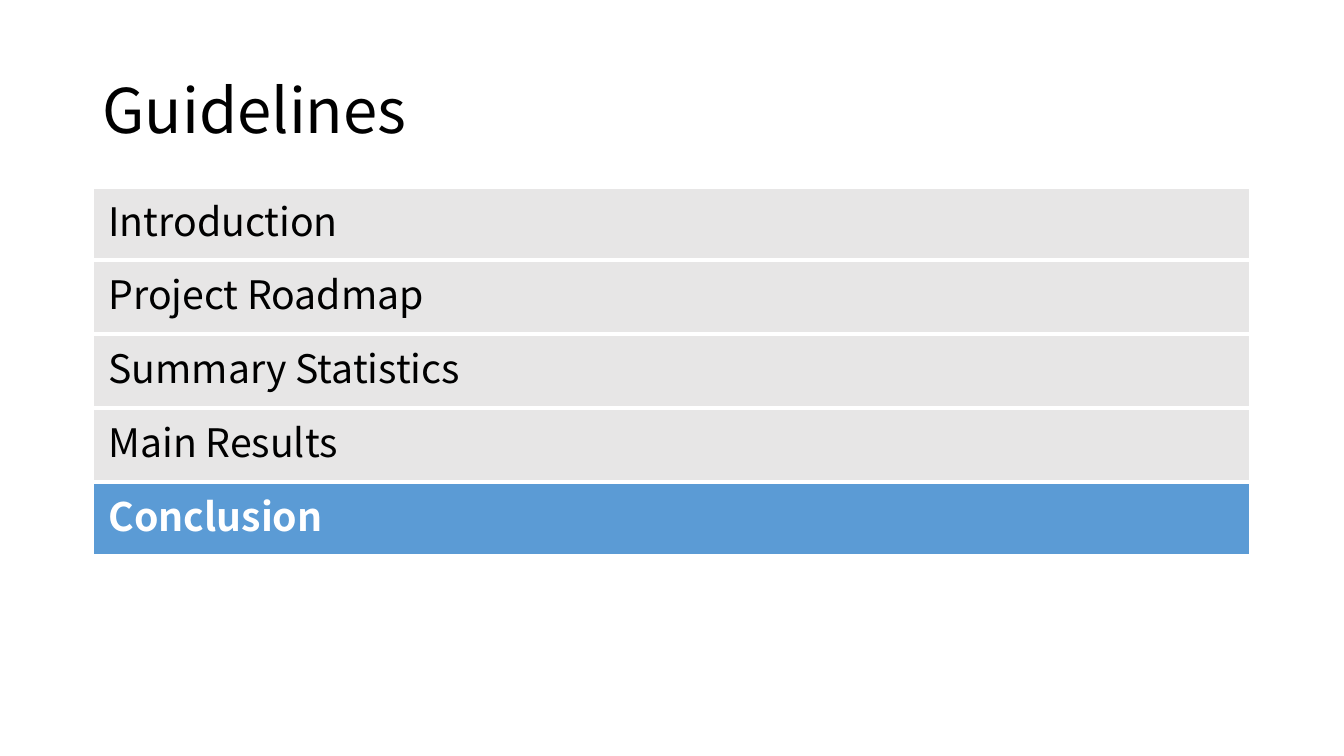
from pptx import Presentation
from pptx.dml.color import RGBColor
from pptx.enum.shapes import MSO_SHAPE
from pptx.enum.text import MSO_ANCHOR, PP_ALIGN
from pptx.util import Pt

RECTANGLE = MSO_SHAPE.RECTANGLE
MIDDLE = MSO_ANCHOR.MIDDLE
LEFT = PP_ALIGN.LEFT

COLORS = {"text": "000000", "white": "FFFFFF", "bar": "E7E6E6", "active": "5B9BD5"}
SECTIONS = ["Introduction", "Project Roadmap", "Summary Statistics",
            "Main Results", "Conclusion"]
CURRENT_SECTION = "Conclusion"

MARGIN, CONTENT_WIDTH = 66, 828
TITLE_TOP, TITLE_HEIGHT = 28.75, 104.4
BARS_TOP, BAR_HEIGHT = 133.15, 52.75


class GuidelinePage:
    """Holds the text style and the slide being built."""

    font_name = "Noto Sans CJK SC"
    line_spacing = 0.9

    def __init__(self, page):
        self.page = page

    def color(self, name):
        return RGBColor.from_string(COLORS[name])

    def add_text(self, frame, text, size, color, bold=False):
        frame.word_wrap = True
        frame.vertical_anchor = MIDDLE
        para = frame.paragraphs[0]
        para.alignment = LEFT
        para.line_spacing = self.line_spacing
        span = para.add_run()
        span.text = text
        span.font.name = self.font_name
        span.font.size = Pt(size)
        span.font.bold = bold
        span.font.color.rgb = self.color(color)

    def title(self, text):
        box = self.page.shapes.title
        box.left, box.top = Pt(MARGIN), Pt(TITLE_TOP)
        box.width, box.height = Pt(CONTENT_WIDTH), Pt(TITLE_HEIGHT)
        self.add_text(box.text_frame, text, 44, "text")

    def bar(self, text, top, active):
        box = self.page.shapes.add_shape(
            RECTANGLE, Pt(MARGIN), Pt(top), Pt(CONTENT_WIDTH), Pt(BAR_HEIGHT))
        box.shadow.inherit = False
        box.fill.solid()
        box.fill.fore_color.rgb = self.color("active" if active else "bar")
        box.line.color.rgb = self.color("white")
        box.line.width = Pt(3)
        frame = box.text_frame
        frame.margin_left = frame.margin_top = frame.margin_bottom = Pt(11.5)
        frame.margin_right = Pt(0)
        self.add_text(frame, text, 28, "white" if active else "text", bold=active)


def main():
    deck = Presentation()
    deck.slide_width, deck.slide_height = Pt(960), Pt(540)
    title_only = deck.slide_layouts[5]
    guidelines = GuidelinePage(deck.slides.add_slide(title_only))

    # Title
    guidelines.title("Guidelines")

    # Stacked section bars, with the current section highlighted
    for index, section in enumerate(SECTIONS):
        guidelines.bar(section, BARS_TOP + index * BAR_HEIGHT,
                       section == CURRENT_SECTION)

    deck.save("out.pptx")


if __name__ == "__main__":
    main()
